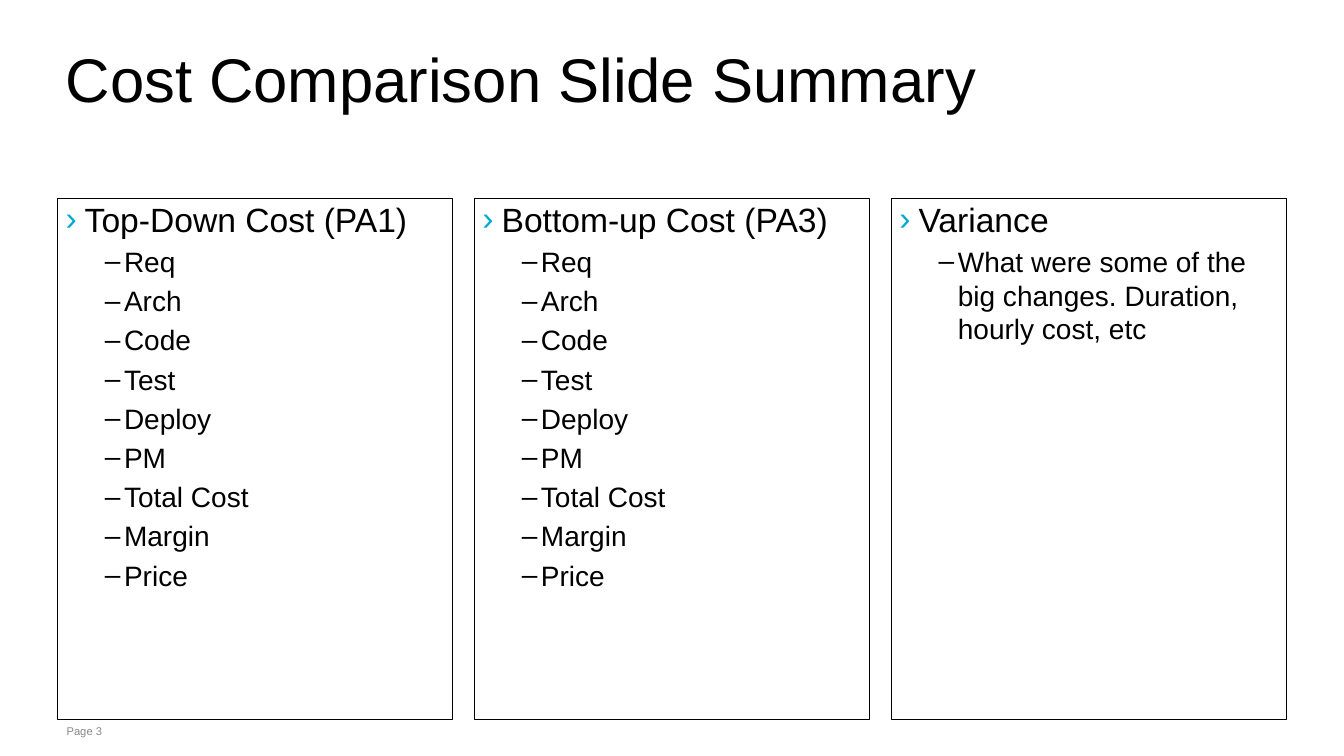
from dataclasses import dataclass

from lxml import etree
from pptx import Presentation
from pptx.dml.color import RGBColor
from pptx.enum.text import MSO_ANCHOR, MSO_AUTO_SIZE, PP_ALIGN
from pptx.oxml.ns import qn
from pptx.util import Inches, Pt

TOP, MIDDLE = MSO_ANCHOR.TOP, MSO_ANCHOR.MIDDLE
LEFT = PP_ALIGN.LEFT
NO_AUTOFIT = MSO_AUTO_SIZE.NONE

FONT = "Arial"
COLORS = {"text": "000000", "accent": "00A9D4", "page": "87888A"}
COMPARISON_LAYOUT = 4
COLUMN_LEFT, COLUMN_TOP = 0.57, 1.97
COLUMN_WIDTH, COLUMN_HEIGHT = 3.92, 5.17
COLUMN_PITCH = 4.135
COST_ITEMS = ("Req", "Arch", "Code", "Test", "Deploy", "PM",
              "Total Cost", "Margin", "Price")


@dataclass(frozen=True)
class Column:
    heading: str
    items: tuple[str, ...]


@dataclass(frozen=True)
class ListLevel:
    depth: int
    size: int
    indent: float
    bullet: str
    bullet_color: str


HEADING = ListLevel(0, 24, 0.19, "›", COLORS["accent"])
ITEM = ListLevel(1, 20, 0.58, "–", COLORS["text"])

COLUMNS = (
    Column("Top-Down Cost (PA1)", COST_ITEMS),
    Column("Bottom-up Cost (PA3)", COST_ITEMS),
    Column("Variance", ("What were some of the big changes. "
                        "Duration, hourly cost, etc",)),
)


def place(shape, left: float, top: float, width: float, height: float) -> None:
    shape.left, shape.top = Inches(left), Inches(top)
    shape.width, shape.height = Inches(width), Inches(height)


def set_frame(frame, anchor, vertical_inset: float = 0) -> None:
    frame.auto_size = NO_AUTOFIT
    frame.word_wrap = True
    frame.vertical_anchor = anchor
    frame.margin_left = frame.margin_right = Inches(0.08)
    frame.margin_top = frame.margin_bottom = Inches(vertical_inset)


def set_font(paragraph, size: int, color: str) -> None:
    paragraph.alignment = LEFT
    font = paragraph.font
    font.name, font.size, font.bold = FONT, Pt(size), False
    font.color.rgb = RGBColor.from_string(color)


def set_bullet(paragraph, level: ListLevel) -> None:
    """Add the hanging indent, bullet colour and bullet sign of a level."""
    properties = paragraph._p.get_or_add_pPr()
    properties.set("marL", str(Inches(level.indent)))
    properties.set("indent", str(Inches(-0.19)))
    bullet_color = etree.Element(qn("a:buClr"))
    etree.SubElement(bullet_color, qn("a:srgbClr"), val=level.bullet_color)
    bullet_font = etree.Element(qn("a:buFont"), typeface=FONT)
    bullet = etree.Element(qn("a:buChar"), char=level.bullet)
    default_run = properties.find(qn("a:defRPr"))
    for element in (bullet_color, bullet_font, bullet):
        default_run.addprevious(element)


def fill_title(title) -> None:
    place(title, 0.57, 0.26, 10.93, 1.19)
    set_frame(title.text_frame, MIDDLE)
    title.text_frame.text = "Cost Comparison Slide Summary"
    heading = title.text_frame.paragraphs[0]
    heading.line_spacing = 0.75
    set_font(heading, 44, COLORS["text"])


def fill_column(body, column: Column, left: float) -> None:
    place(body, left, COLUMN_TOP, COLUMN_WIDTH, COLUMN_HEIGHT)
    body.line.color.rgb = RGBColor.from_string(COLORS["text"])
    body.line.width = Pt(0.75)
    frame = body.text_frame
    set_frame(frame, TOP)
    frame.text = "\n".join((column.heading, *column.items))
    for number, paragraph in enumerate(frame.paragraphs):
        level = ITEM if number else HEADING
        paragraph.level = level.depth
        set_font(paragraph, level.size, level.bullet_color
                 if level is ITEM else COLORS["text"])
        set_bullet(paragraph, level)


def add_page_label(slide) -> None:
    label = slide.shapes.add_textbox(
        Inches(0.58), Inches(7.14), Inches(10.79), Inches(0.24))
    set_frame(label.text_frame, TOP, 0.05)
    label.text_frame.text = "Page 3"
    set_font(label.text_frame.paragraphs[0], 8, COLORS["page"])


def main() -> None:
    deck = Presentation()
    deck.slide_width, deck.slide_height = Inches(13.33), Inches(7.5)
    slide = deck.slides.add_slide(deck.slide_layouts[COMPARISON_LAYOUT])
    fill_title(slide.shapes.title)
    *bodies, unused = list(slide.placeholders)[1:]
    unused.element.getparent().remove(unused.element)
    for number, (body, column) in enumerate(zip(bodies, COLUMNS)):
        fill_column(body, column, COLUMN_LEFT + number * COLUMN_PITCH)
    add_page_label(slide)
    deck.save("out.pptx")


if __name__ == "__main__":
    main()
